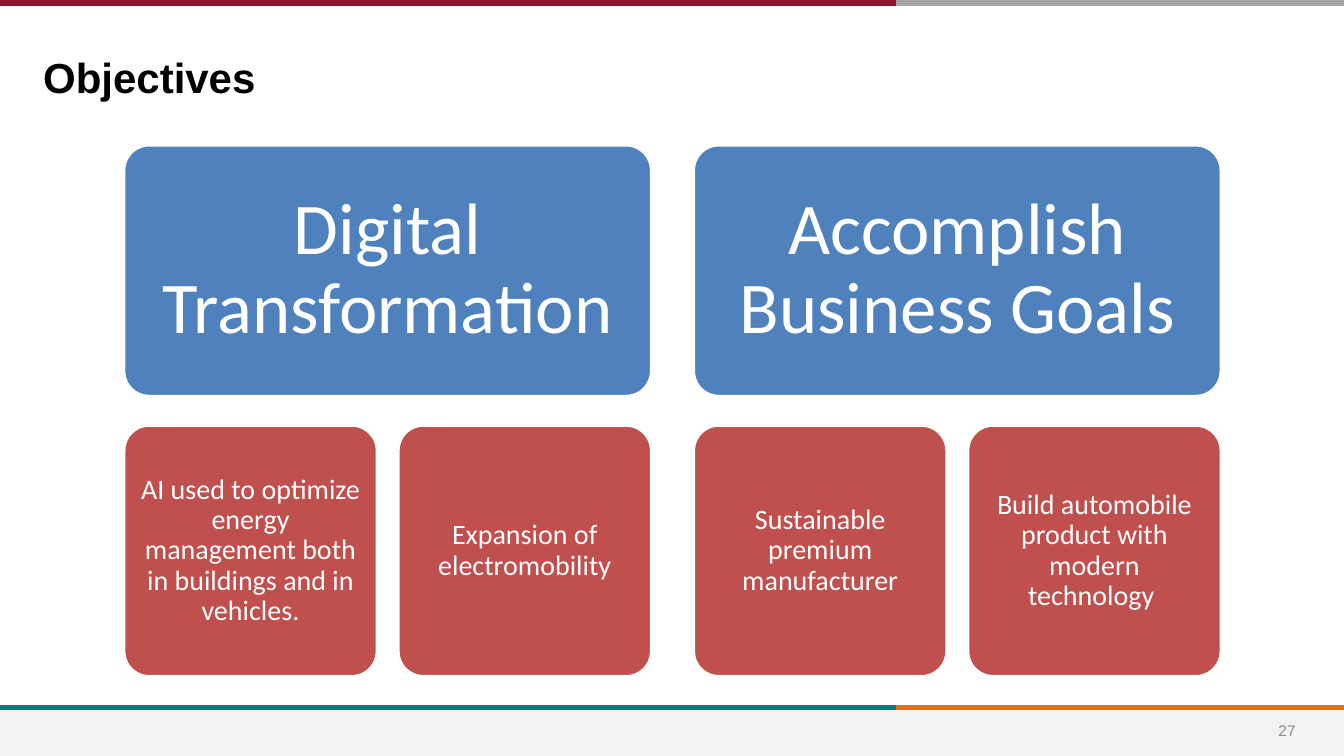
from pptx import Presentation
from pptx.dml.color import RGBColor
from pptx.enum.shapes import MSO_CONNECTOR, MSO_SHAPE
from pptx.enum.text import MSO_ANCHOR, PP_ALIGN
from pptx.oxml.ns import qn
from pptx.util import Inches, Pt
from lxml.etree import SubElement

WHITE = RGBColor(0xFF, 0xFF, 0xFF)
BLACK = RGBColor(0x00, 0x00, 0x00)
PALE = RGBColor(0xF2, 0xF2, 0xF2)
SILVER = RGBColor(0xA6, 0xA6, 0xA6)
GRAY = RGBColor(0x8C, 0x8C, 0x8C)
MAROON = RGBColor(0x90, 0x15, 0x2A)
TEAL = RGBColor(0x0F, 0x78, 0x7D)
ORANGE = RGBColor(0xDF, 0x70, 0x23)
BLUE = RGBColor(0x4F, 0x81, 0xBD)
RED = RGBColor(0xC0, 0x50, 0x4D)

WIDTH, HEIGHT = 13.33, 7.5
SPLIT = 8.89  # where the two-colour rules change colour


class Board:
    head_font = "Arial"
    card_font = "Calibri"

    def __init__(self, slide):
        self.shapes = slide.shapes

    def shape(self, kind, left, top, width, height, fill):
        item = self.shapes.add_shape(
            kind, Inches(left), Inches(top), Inches(width), Inches(height))
        item.shadow.inherit = False
        item.fill.solid()
        item.fill.fore_color.rgb = fill
        item.line.fill.background()
        return item

    def put_text(self, frame, text, font, size, color, align, bold=False):
        frame.word_wrap = True
        para = frame.paragraphs[0]
        para.text = text
        para.alignment = align
        para.font.name = font
        para.font.size = Pt(size)
        para.font.bold = bold
        para.font.color.rgb = color
        return para

    def label(self, text, left, top, width, height, size, color,
              align=PP_ALIGN.LEFT, anchor=MSO_ANCHOR.TOP, bold=False):
        box = self.shapes.add_textbox(
            Inches(left), Inches(top), Inches(width), Inches(height))
        box.text_frame.vertical_anchor = anchor
        self.put_text(box.text_frame, text, self.head_font, size, color,
                      align, bold)

    def line(self, start, end, y, color):
        rule = self.shapes.add_connector(
            MSO_CONNECTOR.STRAIGHT, Inches(start), Inches(y), Inches(end), Inches(y))
        rule.line.color.rgb = color
        rule.line.width = Pt(4)
        SubElement(rule._element.spPr, qn("a:effectLst"))

    def stripe(self, y, first, second):
        self.line(SPLIT, WIDTH, y, second)
        self.line(0, SPLIT, y, first)

    def card(self, text, left, top, width, height, fill, size, inset):
        card = self.shape(MSO_SHAPE.ROUNDED_RECTANGLE,
                          left, top, width, height, fill)
        card.adjustments[0] = 0.1
        card.line.color.rgb = WHITE
        card.line.width = Pt(2)
        frame = card.text_frame
        frame.margin_left = frame.margin_right = Inches(inset)
        frame.margin_top = frame.margin_bottom = Inches(inset)
        frame.vertical_anchor = MSO_ANCHOR.MIDDLE
        para = self.put_text(frame, text, self.card_font, size, WHITE,
                             PP_ALIGN.CENTER)
        para.line_spacing = 0.9


def main():
    deck = Presentation()
    deck.slide_width, deck.slide_height = Inches(WIDTH), Inches(HEIGHT)
    board = Board(deck.slides.add_slide(deck.slide_layouts[6]))

    # Footer band and rules
    board.shape(MSO_SHAPE.RECTANGLE, 0, 7.05, WIDTH, 0.45, PALE)
    board.stripe(7.02, TEAL, ORANGE)
    board.stripe(0.03, MAROON, SILVER)

    # Page number and title
    board.label("27", 12.42, 7.05, 0.69, 0.4, 11, GRAY,
                PP_ALIGN.CENTER, MSO_ANCHOR.MIDDLE)
    board.label("Objectives", 0.33, 0.46, 10.65, 0.59, 30, BLACK, bold=True)

    # Each goal sits above its two aims
    goals = [
        ("Digital Transformation",
         ["AI used to optimize energy management both in buildings and in vehicles.",
          "Expansion of electromobility"]),
        ("Accomplish Business Goals",
         ["Sustainable premium manufacturer",
          "Build automobile product with modern technology "]),
    ]
    for col, (goal, aims) in enumerate(goals):
        left = 1.23 + col * 5.65
        board.card(goal, left, 1.44, 5.23, 2.49, BLUE, 52, 0.22)
        for pos, aim in enumerate(aims):
            board.card(aim, left + pos * 2.72, 4.22, 2.51, 2.49, RED, 20, 0.08)

    deck.save("out.pptx")


if __name__ == "__main__":
    main()
